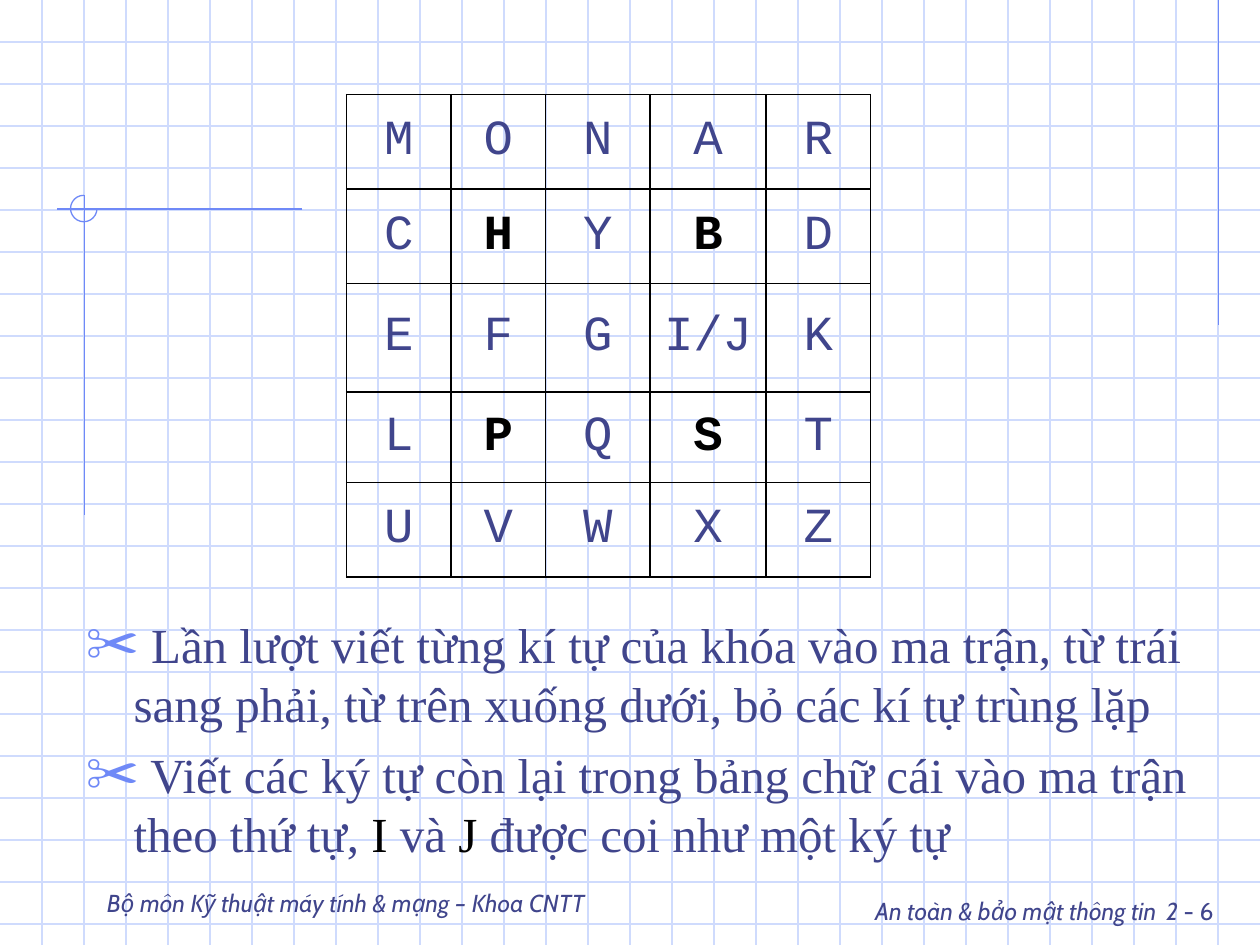
from dataclasses import dataclass
from typing import Any

from lxml import etree
from pptx import Presentation
from pptx.dml.color import RGBColor
from pptx.enum.shapes import MSO_CONNECTOR, MSO_SHAPE
from pptx.enum.text import MSO_ANCHOR, MSO_AUTO_SIZE, PP_ALIGN
from pptx.oxml.ns import qn
from pptx.util import Inches, Pt

STRAIGHT = MSO_CONNECTOR.STRAIGHT
ARC = MSO_SHAPE.ARC
TOP, MIDDLE, BOTTOM = MSO_ANCHOR.TOP, MSO_ANCHOR.MIDDLE, MSO_ANCHOR.BOTTOM
LEFT, CENTER, RIGHT = PP_ALIGN.LEFT, PP_ALIGN.CENTER, PP_ALIGN.RIGHT
NO_AUTOFIT = MSO_AUTO_SIZE.NONE

COLORS = {"grid": "CFDBFD", "accent": "6F89F7", "text": "40458C", "black": "000000"}
WIDTH, HEIGHT = 10, 7.5
GRID_STEP = 1 / 3

KEY_MATRIX = [
    ["M", "O", "N", "A", "R"],
    ["C", "H", "Y", "B", "D"],
    ["E", "F", "G", "I/J", "K"],
    ["L", "P", "Q", "S", "T"],
    ["U", "V", "W", "X", "Z"],
]
HIGHLIGHTED = {"H", "B", "P", "S"}
COLUMN_WIDTHS = [0.83, 0.75, 0.83, 0.92, 0.83]
ROW_HEIGHTS = [0.75, 0.75, 0.86, 0.72, 0.75]


@dataclass
class Line:
    x1: float
    y1: float
    x2: float
    y2: float
    color: str = "accent"


@dataclass
class TextRun:
    text: str
    color: str = "text"
    size: int = 28
    name: str = "Times New Roman"
    bold: bool = False
    italic: bool = False


@dataclass
class Footer:
    left: float
    top: float
    width: float
    anchor: Any
    alignment: Any
    runs: list[TextRun]


def footer_run(text: str, size: int = 14, italic: bool = True) -> TextRun:
    return TextRun(text, size=size, name="Cabin", italic=italic)


GRID_LINES = [Line(0, i * GRID_STEP, WIDTH, i * GRID_STEP, "grid") for i in range(1, 23)]
GRID_LINES += [Line(i * GRID_STEP, 0, i * GRID_STEP, HEIGHT, "grid") for i in range(1, 30)]
ACCENT_LINES = [
    Line(9.67, 0, 9.67, 2.58),
    Line(2.4, 1.66, 0.45, 1.66),
    Line(0.67, 1.55, 0.67, 4.09),
]
FOOTERS = [
    Footer(6.25, 6.92, 3.48, TOP, RIGHT, [
        footer_run("An toàn & bảo mật thông tin"),
        footer_run(" ", size=24, italic=False),
        footer_run("2"),
        footer_run(" - 6", italic=False),
    ]),
    Footer(0.75, 6.83, 5.58, BOTTOM, LEFT, [
        footer_run("Bộ môn Kỹ thuật máy tính & mạng – Khoa CNTT"),
    ]),
]
BULLETS = [
    [TextRun(" Lần lượt viết từng kí tự của khóa vào ma trận, từ trái sang phải, "
             "từ trên xuống dưới, bỏ các kí tự trùng lặp")],
    [
        TextRun(" Viết các ký tự còn lại trong bảng chữ cái vào ma trận theo thứ tự, "),
        TextRun("I", "black"),
        TextRun(" và "),
        TextRun("J", "black"),
        TextRun(" được coi như một ký tự"),
    ],
]


def rgb(color: str) -> RGBColor:
    return RGBColor.from_string(COLORS[color])


def draw_line(slide: Any, line: Line) -> None:
    ends = [Inches(value) for value in (line.x1, line.y1, line.x2, line.y2)]
    connector = slide.shapes.add_connector(STRAIGHT, *ends)
    connector.line.color.rgb = rgb(line.color)
    connector.line.width = Pt(0.75)
    etree.SubElement(connector._element.spPr, qn("a:effectLst"))


def draw_corner_arc(slide: Any) -> None:
    arc = slide.shapes.add_shape(ARC, Inches(0.56), Inches(1.55), Inches(0.21), Inches(0.21))
    # Three quarters of a circle: from 0 to 270 degrees
    arc.adjustments[0] = 0
    arc.adjustments[1] = 162
    arc.shadow.inherit = False
    arc.fill.background()
    arc.line.color.rgb = rgb("accent")
    arc.line.width = Pt(0.75)


def add_runs(paragraph: Any, runs: list[TextRun]) -> None:
    for item in runs:
        run = paragraph.add_run()
        run.text = item.text
        run.font.color.rgb = rgb(item.color)
        formats = {"size": Pt(item.size), "name": item.name,
                   "bold": item.bold, "italic": item.italic}
        for attribute, value in formats.items():
            setattr(run.font, attribute, value)


def draw_footer(slide: Any, footer: Footer) -> None:
    shape = slide.shapes.add_textbox(Inches(footer.left), Inches(footer.top),
                                     Inches(footer.width), Inches(0.5))
    shape.text_frame.word_wrap = True
    shape.text_frame.vertical_anchor = footer.anchor
    paragraph = shape.text_frame.paragraphs[0]
    paragraph.alignment = footer.alignment
    add_runs(paragraph, footer.runs)


def set_cell_borders(cell: Any) -> None:
    properties = cell._tc.get_or_add_tcPr()
    for index, side in enumerate(("a:lnL", "a:lnR", "a:lnT", "a:lnB")):
        border = etree.Element(qn(side), w=str(Pt(0.96)))
        fill = etree.SubElement(border, qn("a:solidFill"))
        etree.SubElement(fill, qn("a:srgbClr"), val=COLORS["black"])
        properties.insert(index, border)


def draw_key_matrix(slide: Any) -> None:
    frame = slide.shapes.add_table(len(ROW_HEIGHTS), len(COLUMN_WIDTHS), Inches(2.75),
                                   Inches(0.75), Inches(sum(COLUMN_WIDTHS)),
                                   Inches(sum(ROW_HEIGHTS)))
    table = frame.table
    table.first_row = table.horz_banding = False
    for column, width in zip(table.columns, COLUMN_WIDTHS):
        column.width = Inches(width)
    for row, height, letters in zip(table.rows, ROW_HEIGHTS, KEY_MATRIX):
        row.height = Inches(height)
        for cell, letter in zip(row.cells, letters):
            cell.fill.background()
            cell.vertical_anchor = MIDDLE
            set_cell_borders(cell)
            paragraph = cell.text_frame.paragraphs[0]
            paragraph.alignment = CENTER
            marked = letter in HIGHLIGHTED
            color = "black" if marked else "text"
            add_runs(paragraph, [TextRun(letter, color, name="Courier New", bold=marked)])


def set_bullet(paragraph: Any) -> None:
    properties = paragraph._p.get_or_add_pPr()
    properties.set("marL", str(Inches(0.38)))
    properties.set("indent", str(-Inches(0.38)))
    color = etree.SubElement(properties, qn("a:buClr"))
    etree.SubElement(color, qn("a:srgbClr"), val=COLORS["accent"])
    etree.SubElement(properties, qn("a:buSzPct"), val="110000")
    etree.SubElement(properties, qn("a:buChar"), char="✂")


def fill_body(slide: Any) -> None:
    body = slide.placeholders[1]
    box = {"left": 0.58, "top": 4.83, "width": 9.08, "height": 2.08}
    for attribute, value in box.items():
        setattr(body, attribute, Inches(value))
    text_frame = body.text_frame
    text_frame.auto_size = NO_AUTOFIT
    text_frame.vertical_anchor = TOP
    for index, runs in enumerate(BULLETS):
        paragraph = text_frame.add_paragraph() if index else text_frame.paragraphs[0]
        paragraph.space_before = Pt(7)
        set_bullet(paragraph)
        add_runs(paragraph, runs)
    # Bring the text in front of the grid
    slide.shapes._spTree.append(body._element)


def main() -> None:
    presentation = Presentation()
    presentation.slide_width, presentation.slide_height = Inches(WIDTH), Inches(HEIGHT)
    slide = presentation.slides.add_slide(presentation.slide_layouts[1])
    title = slide.shapes.title._element
    title.getparent().remove(title)

    # Grid paper and corner marks
    for line in GRID_LINES + ACCENT_LINES:
        draw_line(slide, line)
    draw_corner_arc(slide)

    # Content
    for footer in FOOTERS:
        draw_footer(slide, footer)
    draw_key_matrix(slide)
    fill_body(slide)
    presentation.save("out.pptx")


if __name__ == "__main__":
    main()
